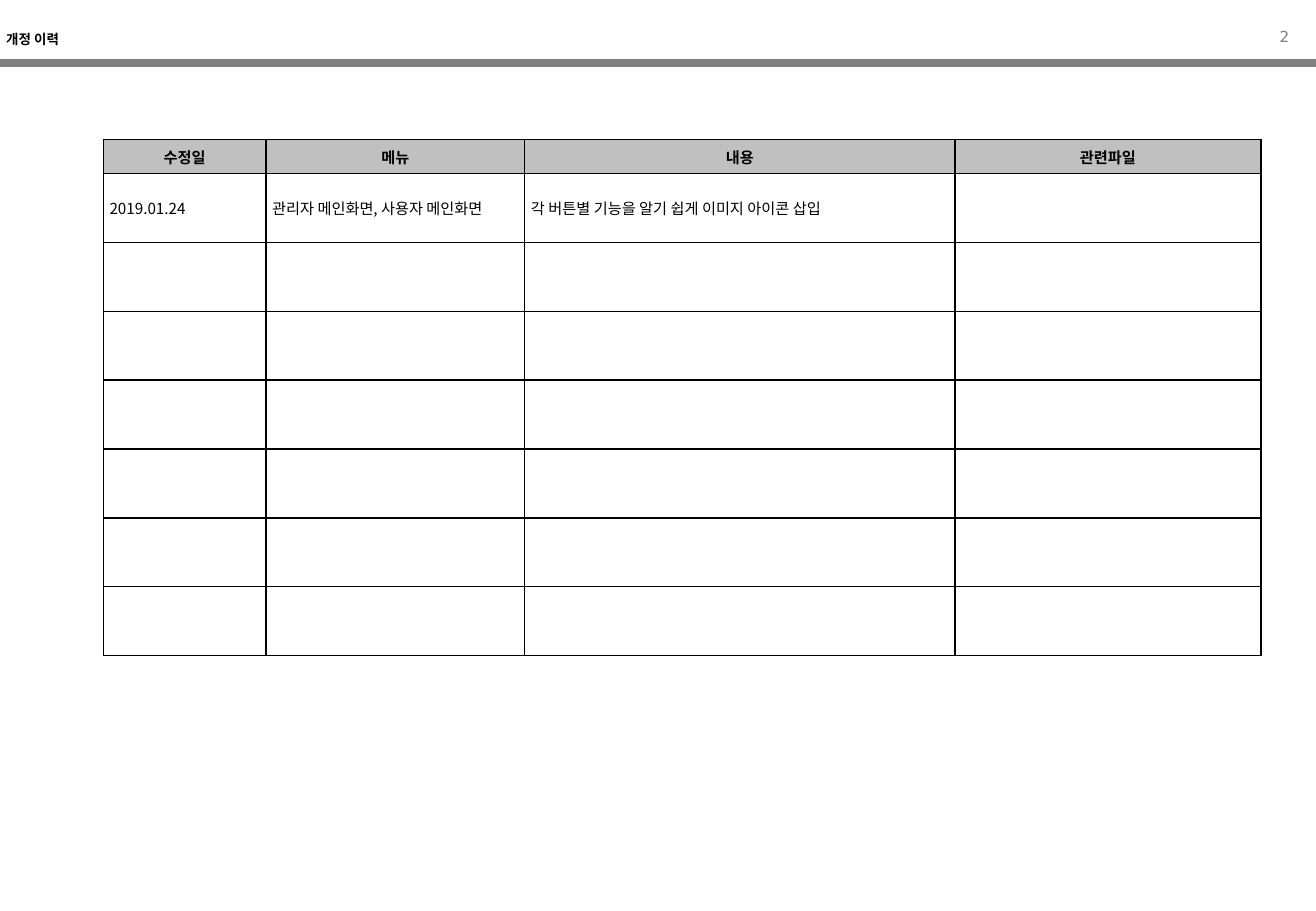
from pptx import Presentation
from pptx.dml.color import RGBColor as RGB
from pptx.enum.shapes import MSO_CONNECTOR as Link
from pptx.enum.text import MSO_ANCHOR as Anchor, PP_ALIGN as Align
from pptx.oxml.ns import qn
from pptx.util import Cm, Pt
from lxml.etree import SubElement as Sub

COLORS = {"ink": "000000", "gray": "808080", "head": "C0C0C0", "white": "FFFFFF"}
SANS, KOREAN = "DejaVu Sans", "Noto Sans CJK KR"
PAD = Cm(0.13)
INSETS = {"margin_left": PAD, "margin_right": PAD, "margin_top": PAD, "margin_bottom": PAD}


def write(para, text, align, face, size, bold=False, color="ink"):
    para.alignment = align
    run = para.add_run()
    run.text = text
    for key, val in {"name": face, "size": Pt(size), "bold": bold}.items():
        setattr(run.font, key, val)
    run.font.color.rgb = RGB.from_string(COLORS[color])
    Sub(run.font._element, qn("a:ea"), typeface=face)


def border(cell):
    props = cell._tc.get_or_add_tcPr()
    for n, side in enumerate(("lnL", "lnR", "lnT", "lnB")):
        line = props.makeelement(qn("a:" + side), {"w": str(Pt(1))})
        fill = Sub(line, qn("a:solidFill"))
        Sub(fill, qn("a:srgbClr"), val=COLORS["ink"])
        props.insert(n, line)


deck = Presentation()
deck.slide_width, deck.slide_height = Cm(27.51), Cm(19.05)
slide = deck.slides.add_slide(deck.slide_layouts[6])
shapes = slide.shapes

# Header rule
rule = shapes.add_connector(Link.STRAIGHT, 0, Cm(1.32), deck.slide_width, Cm(1.32))
rule.line.color.rgb = RGB.from_string(COLORS["gray"])
rule.line.width = Pt(4.5)
Sub(rule._element.spPr, qn("a:effectLst"))

# Page number and title
labels = [
    ("2", (26.59, 0.33, 0.49, 0.64), False, Anchor.TOP, 1.3,
     (Align.RIGHT, SANS, 9, False, "gray")),
    ("개정 이력", (0, 0.53, 7.39, 0.56), True, Anchor.MIDDLE, 1.0,
     (Align.LEFT, KOREAN, 8, True)),
]
for text, place, wrap, anchor, space, style in labels:
    frame = shapes.add_textbox(*map(Cm, place)).text_frame
    for key, val in {**INSETS, "word_wrap": wrap, "vertical_anchor": anchor}.items():
        setattr(frame, key, val)
    para = frame.paragraphs[0]
    para.line_spacing = space
    write(para, text, *style)

# Revision table
widths = [3.4, 5.41, 8.99, 6.4]
heights = [0.71] + [1.44] * 7
rows = [
    ["수정일", "메뉴", "내용", "관련파일"],
    ["2019.01.24", "관리자 메인화면, 사용자 메인화면",
     "각 버튼별 기능을 알기 쉽게 이미지 아이콘 삽입", ""],
]
table = shapes.add_table(len(heights), len(widths), Cm(2.16), Cm(2.92),
                         Cm(sum(widths)), Cm(sum(heights))).table
for col, width in zip(table.columns, widths):
    col.width = Cm(width)
for r, height in enumerate(heights):
    table.rows[r].height = Cm(height)
    head = r == 0
    for c in range(len(widths)):
        cell = table.cell(r, c)
        for key, val in {**INSETS, "vertical_anchor": Anchor.MIDDLE}.items():
            setattr(cell, key, val)
        cell.fill.solid()
        cell.fill.fore_color.rgb = RGB.from_string(COLORS["head" if head else "white"])
        border(cell)
        text = rows[r][c] if r < len(rows) else ""
        if text:
            write(cell.text_frame.paragraphs[0], text,
                  Align.CENTER if head else Align.LEFT, KOREAN, 9, head)

deck.save("out.pptx")
